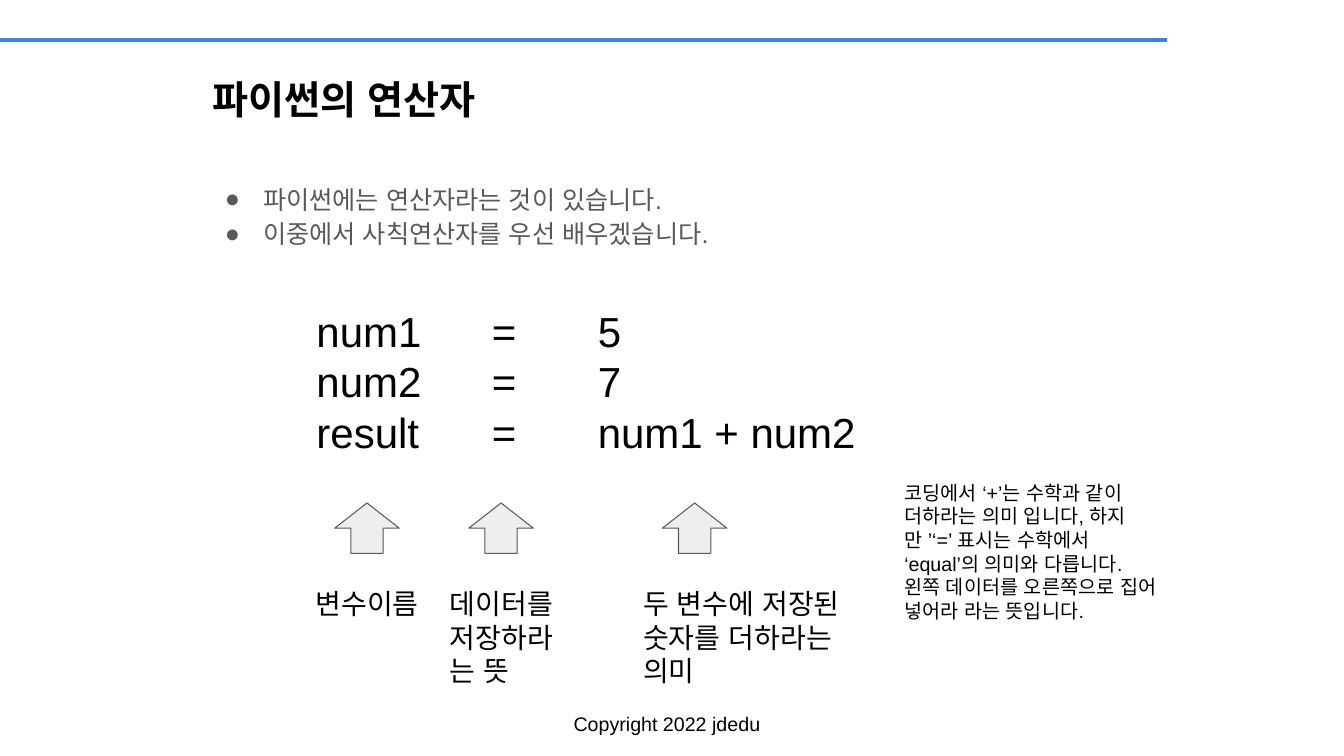
"""Build the slide that introduces Python's operators."""
from dataclasses import dataclass

from lxml.etree import SubElement
from pptx import Presentation
from pptx.dml.color import RGBColor
from pptx.enum.lang import MSO_LANGUAGE_ID
from pptx.enum.shapes import MSO_CONNECTOR, MSO_SHAPE
from pptx.enum.text import MSO_ANCHOR, MSO_AUTO_SIZE, PP_ALIGN
from pptx.oxml.ns import qn
from pptx.shapes.base import BaseShape
from pptx.slide import Slide
from pptx.util import Inches, Pt


@dataclass(frozen=True)
class Theme:
    font: str = "Arial"
    text: str = "000000"
    muted: str = "595959"
    rule: str = "3C81F3"
    arrow: str = "EEEEEE"
    title: int = 28
    body: int = 18
    code: int = 30
    label: int = 20
    note: int = 14


@dataclass(frozen=True)
class Box:
    left: float
    top: float
    width: float
    height: float

    def lengths(self) -> list[int]:
        return [Inches(value) for value in (self.left, self.top, self.width, self.height)]


@dataclass(frozen=True)
class TextStyle:
    size: int
    color: str = Theme.text
    bold: bool = False
    wrap: bool = True
    grow: bool = True
    line_spacing: float = 1.0
    bullet: str = ""
    tabs: tuple[float, ...] = ()


@dataclass(frozen=True)
class Callout:
    arrow_left: float
    label_width: float
    label_height: float
    text: str


THEME = Theme()
CODE_TABS = (1.74, 2.79)
CODE_LINES = ["num1\t=\t5", "num2\t=\t7", "result\t=\tnum1 + num2"]
CALLOUTS = [
    Callout(3.32, 1.34, 0.54, "변수이름"),
    Callout(4.65, 1.34, 1.21, "데이터를 저장하라는 뜻"),
    Callout(6.57, 2.51, 1.21, "두 변수에 저장된 숫자를 더하라는 의미"),
]
BULLETS = ["파이썬에는 연산자라는 것이 있습니다.", "이중에서 사칙연산자를 우선 배우겠습니다."]
NOTES = [
    "코딩에서 ‘+’는 수학과 같이 더하라는 의미 입니다, 하지만 ’‘=’ 표시는 수학에서 ‘equal’의 의미와 다릅니다.",
    "왼쪽 데이터를 오른쪽으로 집어 넣어라 라는 뜻입니다.",
]


def apply(target: object, values: dict[str, object]) -> None:
    for name, value in values.items():
        setattr(target, name, value)


def add_bullet(properties, style: TextStyle) -> None:
    properties.set("marL", str(Inches(0.5)))
    properties.set("indent", str(Inches(-0.38)))
    color = SubElement(properties, qn("a:buClr"))
    SubElement(color, qn("a:srgbClr"), val=style.color)
    SubElement(properties, qn("a:buFont"), typeface=THEME.font)
    SubElement(properties, qn("a:buChar"), char=style.bullet)


def add_tabs(properties, positions: tuple[float, ...]) -> None:
    tab_list = SubElement(properties, qn("a:tabLst"))
    for position in positions:
        SubElement(tab_list, qn("a:tab"), pos=str(Inches(position)), algn="l")


def write_text(shape: BaseShape, lines: list[str], style: TextStyle, inset: float = 0.1) -> None:
    frame = shape.text_frame
    margins = {f"margin_{side}": Inches(0.1) for side in ("left", "right")}
    margins |= {f"margin_{side}": Inches(inset) for side in ("top", "bottom")}
    apply(frame, margins | {
        "word_wrap": style.wrap,
        "auto_size": MSO_AUTO_SIZE.SHAPE_TO_FIT_TEXT if style.grow else MSO_AUTO_SIZE.NONE,
        "vertical_anchor": MSO_ANCHOR.TOP,
    })
    for index, line in enumerate(lines):
        paragraph = frame.add_paragraph() if index else frame.paragraphs[0]
        properties = paragraph._p.get_or_add_pPr()
        if style.bullet:
            add_bullet(properties, style)
        if style.tabs:
            add_tabs(properties, style.tabs)
        apply(paragraph, {
            "alignment": PP_ALIGN.LEFT,
            "space_before": Pt(0),
            "space_after": Pt(0),
            "line_spacing": style.line_spacing,
        })
        run = paragraph.add_run()
        run.text = line
        apply(run.font, {
            "name": THEME.font,
            "size": Pt(style.size),
            "bold": style.bold,
            "language_id": MSO_LANGUAGE_ID.KOREAN,
        })
        run.font.color.rgb = RGBColor.from_string(style.color)
        SubElement(run.font._element, qn("a:ea"), typeface=THEME.font)


def place(shape: BaseShape, box: Box) -> BaseShape:
    apply(shape, dict(zip(("left", "top", "width", "height"), box.lengths())))
    return shape


def add_text(slide: Slide, box: Box, lines: list[str], style: TextStyle, inset: float = 0.1) -> None:
    write_text(slide.shapes.add_textbox(*box.lengths()), lines, style, inset)


def add_rule(slide: Slide) -> None:
    rule = slide.shapes.add_connector(
        MSO_CONNECTOR.STRAIGHT, Inches(0), Inches(0.4), Inches(11.57), Inches(0.4))
    rule.line.color.rgb = RGBColor.from_string(THEME.rule)
    rule.line.width = Pt(3)
    SubElement(rule._element.spPr, qn("a:effectLst"))


def add_callout(slide: Slide, callout: Callout) -> None:
    arrow_box = Box(callout.arrow_left, 4.99, 0.64, 0.5)
    arrow = slide.shapes.add_shape(MSO_SHAPE.UP_ARROW, *arrow_box.lengths())
    arrow.shadow.inherit = False
    arrow.fill.solid()
    arrow.fill.fore_color.rgb = RGBColor.from_string(THEME.arrow)
    arrow.line.color.rgb = RGBColor.from_string(THEME.muted)
    arrow.line.width = Pt(0.75)
    label_box = Box(callout.arrow_left - 0.29, 5.72, callout.label_width, callout.label_height)
    add_text(slide, label_box, [callout.text], TextStyle(THEME.label))


def main() -> None:
    presentation = Presentation()
    apply(presentation, {"slide_width": Inches(13.33), "slide_height": Inches(7.5)})
    slide = presentation.slides.add_slide(presentation.slide_layouts[1])
    title = place(slide.shapes.title, Box(2.01, 0.65, 9.32, 0.83))
    write_text(title, ["파이썬의 연산자"], TextStyle(THEME.title, bold=True, grow=False))
    body = place(slide.placeholders[1], Box(2.01, 1.68, 9.32, 1.25))
    write_text(body, BULLETS, TextStyle(
        THEME.body, THEME.muted, grow=False, line_spacing=1.15, bullet="●"))
    add_rule(slide)
    add_text(slide, Box(5.59, 7.01, 2.15, 0.34), ["Copyright 2022 jdedu"],
             TextStyle(THEME.note, wrap=False), inset=0.05)
    add_text(slide, Box(3.04, 2.93, 7.25, 1.72), CODE_LINES,
             TextStyle(THEME.code, tabs=CODE_TABS))
    for callout in CALLOUTS:
        add_callout(slide, callout)
    add_text(slide, Box(8.87, 4.67, 2.78, 1.62), NOTES, TextStyle(THEME.note))
    presentation.save("out.pptx")


if __name__ == "__main__":
    main()
